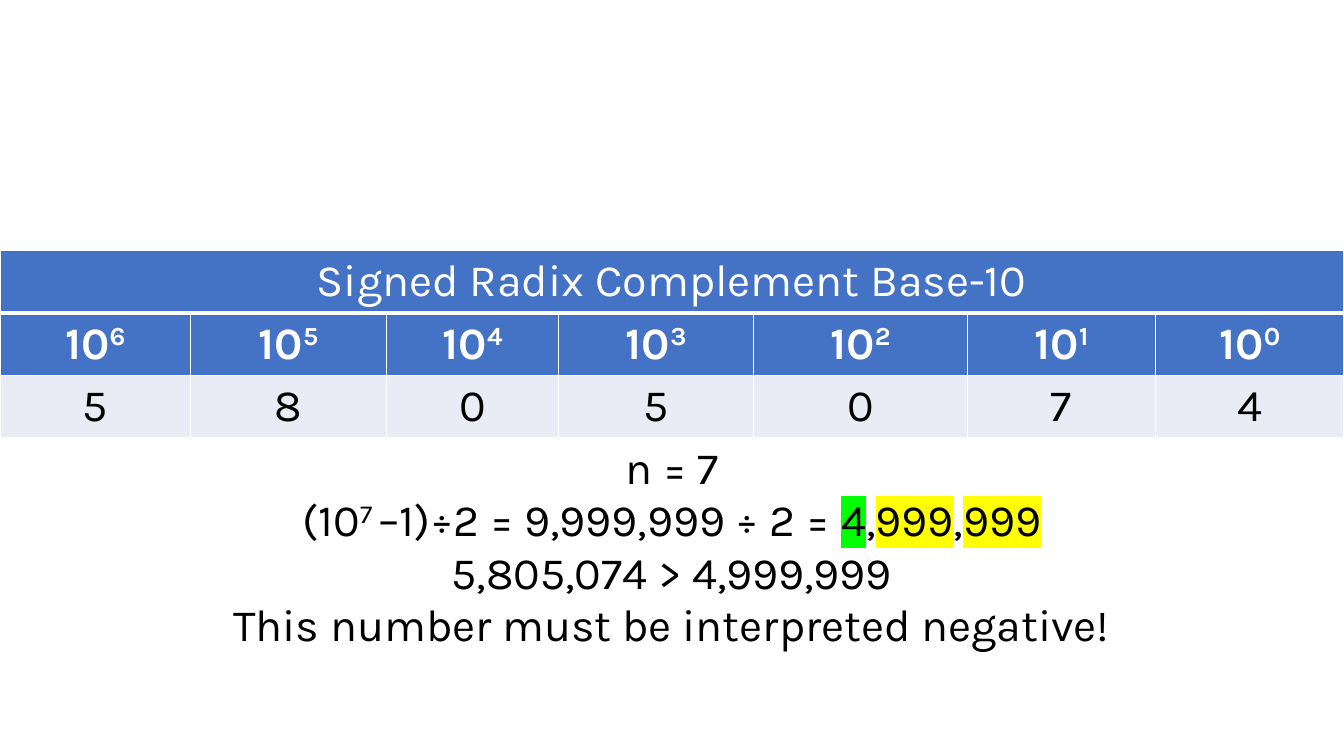
import pptx
import pptx.dml.color
import pptx.enum.text
import pptx.util
from dataclasses import dataclass
from lxml import etree
from pptx.oxml.ns import qn


@dataclass(frozen=True)
class Theme:
    font: str = "Karla"
    size: int = 32
    header: str = "4472C4"
    band: str = "E9EBF5"
    light: str = "FFFFFF"
    dark: str = "000000"
    green: str = "00FF00"
    yellow: str = "FFFF00"
    line: int = 1
    title_line: int = 3


THEME = Theme()


def rgb(code):
    return pptx.dml.color.RGBColor.from_string(code)


def add_span(para, text, color=THEME.dark, bold=False, raised=False, highlight=None):
    """Add one formatted run of text to a paragraph."""
    span = para.add_run()
    span.text = text
    span.font.size = pptx.util.Pt(THEME.size)
    span.font.bold = bold
    span.font.color.rgb = rgb(color)
    properties = span._r.get_or_add_rPr()
    if raised:
        properties.set("baseline", "30000")
    if highlight:
        mark = etree.Element(qn("a:highlight"))
        etree.SubElement(mark, qn("a:srgbClr"), val=highlight)
        properties.find(qn("a:solidFill")).addnext(mark)
    span.font.name = THEME.font


class SlideBuilder:
    def __init__(self, deck, theme):
        self.theme = theme
        self.page = deck.slides.add_slide(deck.slide_layouts[6])

    def table(self, left, top, widths, heights):
        frame = self.page.shapes.add_table(
            len(heights), len(widths), pptx.util.Cm(left), pptx.util.Cm(top),
            pptx.util.Cm(sum(widths)), pptx.util.Cm(sum(heights)))
        grid = frame.table
        grid.first_row = grid.horz_banding = False
        for column, width in zip(grid.columns, widths):
            column.width = pptx.util.Cm(width)
        for row, height in zip(grid.rows, heights):
            row.height = pptx.util.Cm(height)
        return grid

    def borders(self, cell, bottom):
        properties = cell._tc.get_or_add_tcPr()
        for side in ("L", "R", "T", "B"):
            width = bottom if side == "B" else self.theme.line
            edge = etree.SubElement(properties, qn(f"a:ln{side}"),
                                    w=str(pptx.util.Pt(width)))
            paint = etree.SubElement(edge, qn("a:solidFill"))
            etree.SubElement(paint, qn("a:srgbClr"), val=self.theme.light)

    def row_style(self, row, fill=None, bottom=THEME.line):
        for cell in row.cells:
            self.borders(cell, bottom)
            if fill:
                cell.fill.solid()
                cell.fill.fore_color.rgb = rgb(fill)
            else:
                cell.fill.background()

    def cell_text(self, cell, lines, **style):
        """Write centred lines, each a list of (text, extra format) pairs."""
        for index, line in enumerate(lines):
            frame = cell.text_frame
            para = frame.add_paragraph() if index else frame.paragraphs[0]
            para.alignment = pptx.enum.text.PP_ALIGN.CENTER
            for text, extra in line:
                add_span(para, text, **style, **extra)


def main():
    deck = pptx.Presentation()
    deck.slide_width = pptx.util.Cm(33.87)
    deck.slide_height = pptx.util.Cm(19.05)
    builder = SlideBuilder(deck, THEME)

    # Table grid
    widths = [4.8, 4.94, 4.34, 4.91, 5.39, 4.74, 4.75]
    grid = builder.table(0, 6.31, widths, [1.57, 1.57, 1.57, 5.77])
    title_row, power_row, digit_row, work_row = grid.rows
    builder.row_style(title_row, THEME.header, THEME.title_line)
    builder.row_style(power_row, THEME.header)
    builder.row_style(digit_row, THEME.band)
    builder.row_style(work_row)
    last = len(widths) - 1
    for row in (0, 3):
        grid.cell(row, 0).merge(grid.cell(row, last))

    # Title, powers of ten and digits
    builder.cell_text(grid.cell(0, 0), [[("Signed Radix Complement Base-10", {})]],
                      color=THEME.light)
    for column, digit in enumerate("5805074"):
        power = [("10", {}), (str(last - column), {"raised": True})]
        builder.cell_text(grid.cell(1, column), [power], color=THEME.light, bold=True)
        builder.cell_text(grid.cell(2, column), [[(digit, {})]])

    # Worked calculation
    yellow = {"highlight": THEME.yellow}
    builder.cell_text(grid.cell(3, 0), [
        [("n = 7", {})],
        [("(10", {}), ("7 ", {"raised": True}), ("–1)÷2 = 9,999,999 ÷ 2 = ", {}),
         ("4", {"highlight": THEME.green}), (",", {}), ("999", yellow),
         (",", {}), ("999", yellow)],
        [("5,805,074 > 4,999,999", {})],
        [("This number must be interpreted negative!", {})],
    ])

    deck.save("out.pptx")


if __name__ == "__main__":
    main()
